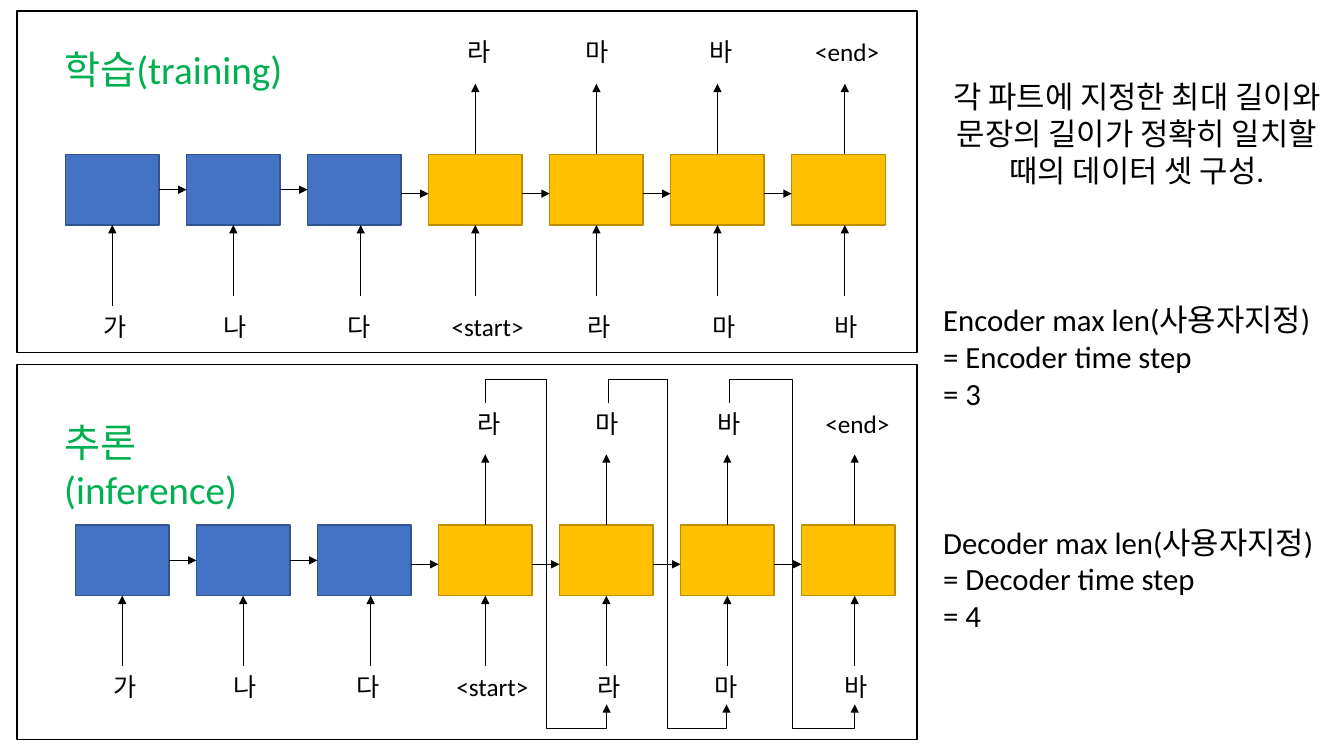
from dataclasses import dataclass

from lxml import etree
from pptx import Presentation
from pptx.dml.color import RGBColor
from pptx.enum.shapes import MSO_CONNECTOR, MSO_SHAPE
from pptx.enum.text import MSO_AUTO_SIZE, PP_ALIGN
from pptx.oxml.ns import qn
from pptx.util import Cm, Pt

RECT = MSO_SHAPE.RECTANGLE
LINE = MSO_CONNECTOR.STRAIGHT
ELBOW = MSO_CONNECTOR.ELBOW
GROW = MSO_AUTO_SIZE.SHAPE_TO_FIT_TEXT
LEFT, MID = PP_ALIGN.LEFT, PP_ALIGN.CENTER
TOP, WEST, BASE, EAST = range(4)


@dataclass(frozen=True)
class Theme:
    font: str = "Calibri"
    ink: str = "000000"
    title: str = "00B050"
    blue: tuple = ("4472C4", "325491")
    gold: tuple = ("FFC000", "BD8E00")
    head: int = 28
    body: int = 22
    label: int = 18
    edge: float = 1
    thin: float = 0.5


THEME = Theme()
BOX_W, BOX_H, STEP = 2.36, 1.78, 3.05
BLUES, CELLS = 3, 7
SKEW = {2: 0.16, 6: 0.16}


def color(code):
    return RGBColor.from_string(code)


def add_text(pen, left, top, wide, high, paras, size, tint=THEME.ink):
    box = pen.add_textbox(Cm(left), Cm(top), Cm(wide), Cm(high))
    frame = box.text_frame
    frame.word_wrap = True
    frame.auto_size = GROW
    for i, (words, align, gap) in enumerate(paras):
        para = frame.paragraphs[0] if i == 0 else frame.add_paragraph()
        para.alignment = align
        para.space_before = Pt(gap)
        run = para.add_run()
        run.text = words
        run.font.name = THEME.font
        run.font.size = Pt(size)
        run.font.color.rgb = color(tint)


def add_label(pen, left, top, words):
    wide = 2.75 if words.startswith("<") else 1
    add_text(pen, left, top, wide, 1, [(words, LEFT, 0)], THEME.label)


def add_title(pen, top, words):
    add_text(pen, 1.37, top, 6.4, 1.45, [(words, LEFT, 0)],
             THEME.head, THEME.title)


def add_box(pen, left, top, wide, high, fill, edge):
    box = pen.add_shape(RECT, Cm(left), Cm(top), Cm(wide), Cm(high))
    box.shadow.inherit = False
    if fill:
        box.fill.solid()
        box.fill.fore_color.rgb = color(fill)
    else:
        box.fill.background()
    box.line.color.rgb = color(edge)
    box.line.width = Pt(THEME.edge)
    return box


def add_arrow(pen, x1, y1, x2, y2, kind=LINE):
    arrow = pen.add_connector(kind, Cm(x1), Cm(y1), Cm(x2), Cm(y2))
    arrow.line.color.rgb = color(THEME.ink)
    arrow.line.width = Pt(THEME.thin)
    tail = etree.SubElement(arrow.line._get_or_add_ln(), qn("a:tailEnd"))
    tail.set("type", "triangle")
    etree.SubElement(arrow._element.spPr, qn("a:effectLst"))
    return arrow


def add_loop(pen, x1, y1, x2, y2):
    mid_x, mid_y = (x1 + x2) / 2, (y1 + y2) / 2
    half_w, half_h = (y2 - y1) / 2, (x2 - x1) / 2
    loop = add_arrow(pen, mid_x + half_w, mid_y - half_h,
                     mid_x - half_w, mid_y + half_h, ELBOW)
    props = loop._element.spPr
    props.find(qn("a:xfrm")).set("rot", "16200000")
    geom = props.find(qn("a:prstGeom"))
    geom.set("prst", "bentConnector5")
    guides = geom.find(qn("a:avLst"))
    for i, value in enumerate((-8000, 50000, 108000), 1):
        guide = etree.SubElement(guides, qn("a:gd"))
        guide.set("name", f"adj{i}")
        guide.set("fmla", f"val {value}")


def add_cells(pen, left, top, first):
    cells = []
    for i in range(CELLS):
        tint = THEME.blue if i < BLUES else THEME.gold
        cells.append(add_box(pen, left + i * STEP, top, BOX_W, BOX_H, *tint))
    for i in range(CELLS - 1):
        edge = left + i * STEP + BOX_W
        y = top + (BOX_H / 2 if i < BLUES - 1 else 0.99)
        arrow = add_arrow(pen, edge, y, left + (i + 1) * STEP, y)
        if i < BLUES - 1:
            arrow.begin_connect(cells[i], EAST)
            arrow.end_connect(cells[i + 1], WEST)
    for i, cell in enumerate(cells):
        x = left + i * STEP + BOX_W / 2 + SKEW.get(i, 0)
        base = top + BOX_H
        feed = add_arrow(pen, x, base + (first if i == 0 else 1.78), x, base)
        if i not in SKEW:
            feed.end_connect(cell, BASE)
        if i >= BLUES:
            out = add_arrow(pen, x, top, x, top - 1.78)
            if i not in SKEW:
                out.begin_connect(cell, TOP)


def add_panel(slide, top, high, left, row, first, ins, in_top, outs, out_top):
    pen = slide.shapes.add_group_shape().shapes
    add_box(pen, 0.43, top, 22.68, high, None, THEME.ink)
    add_cells(pen, left, row, first)
    for x, words in zip(ins, ("가", "나", "다", "<start>", "라", "마", "바")):
        add_label(pen, x, in_top, words)
    for x, words in zip(outs, ("라", "마", "바", "<end>")):
        add_label(pen, x, out_top, words)
    return pen


def main():
    deck = Presentation()
    deck.slide_width, deck.slide_height = Cm(33.87), Cm(19.05)
    slide = deck.slides.add_slide(deck.slide_layouts[6])

    add_panel(slide, 0.28, 8.61, 1.65, 3.89, 2.05,
              (2.36, 5.38, 8.51, 11.13, 14.55, 17.7, 20.78), 7.71,
              (11.53, 14.5, 17.63, 20.29), 0.8)
    infer = add_panel(slide, 9.19, 9.45, 1.9, 13.23, 1.78,
                      (2.62, 5.64, 8.74, 11.25, 14.81, 17.75, 21.03), 16.79,
                      (11.79, 14.76, 17.83, 20.55), 10.16)
    for x1, x2 in ((12.24, 15.29), (15.34, 18.31), (18.39, 21.54)):
        add_loop(infer, x1, 10.16, x2, 17.75)

    notes = [
        ("각 파트에 지정한 최대 길이와 문장의 길이가 정확히 일치할 "
         "때의 데이터 셋 구성.", MID, 0),
        ("Encoder max len(사용자지정)", LEFT, 80),
        ("= Encoder time step", LEFT, 0),
        ("= 3", LEFT, 0),
        ("Decoder max len(사용자지정)", LEFT, 80),
        ("= Decoder time step", LEFT, 0),
        ("= 4", LEFT, 0),
    ]
    add_text(slide.shapes, 23.52, 1.83, 10.26, 14.35, notes, THEME.body)
    add_title(slide.shapes, 1.02, "학습(training)")
    add_title(slide.shapes, 10.41, "추론(inference)")
    deck.save("out.pptx")


if __name__ == "__main__":
    main()
